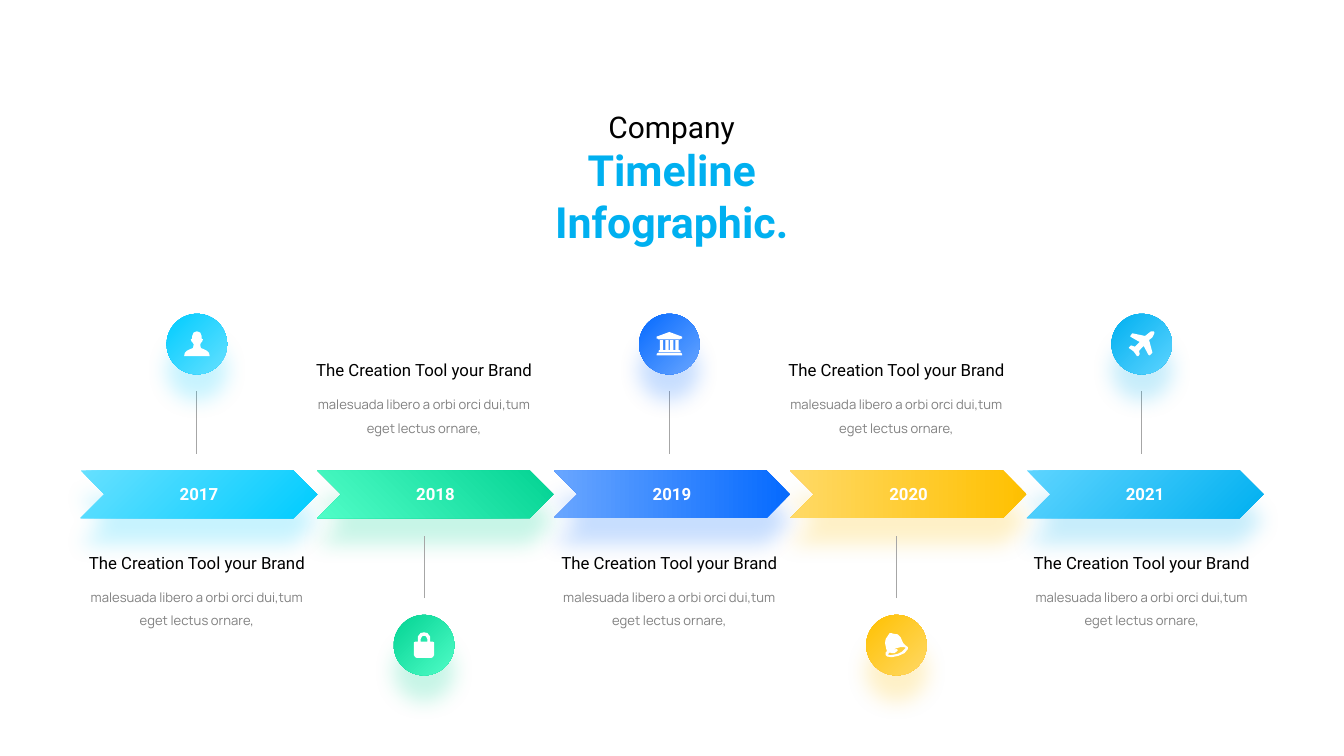
from dataclasses import dataclass

from lxml import etree
from pptx import Presentation
from pptx import util as u
from pptx.dml.color import RGBColor
from pptx.enum import shapes, text
from pptx.oxml.ns import qn


@dataclass(frozen=True)
class Theme:
    ink: str = "000000"
    accent: str = "00B0F0"
    muted: str = "808080"
    rule: str = "A6A6A6"
    white: str = "FFFFFF"
    display: str = "Roboto"
    copy: str = "Manrope"
    kicker_size: int = 32
    title_size: int = 46
    label_size: int = 18
    copy_size: int = 14


THEME = Theme()


def mirrored(half):
    return half + [(-x, y) for x, y in reversed(half)]


def column(left):
    return [(left, -6), (left + 5, -6), (left + 5, 9), (left, 9)]


PERSON = [mirrored([(0, -19), (5, -17), (7.5, -12), (7.5, -8), (8.5, -7), (8, -4),
                    (6.5, -3), (5, 0), (4.5, 2), (6, 5.5), (10.5, 8), (15, 10.5),
                    (18, 13), (18.5, 18)])]
LOCK = [mirrored([(0, -19), (5, -17.5), (8.5, -13), (9, -8), (9, -5), (13, -5),
                  (15, -4.5), (15.5, -3), (15.5, 15), (13.5, 18), (10.5, 19)]),
        mirrored([(0, -14), (3, -13), (4.5, -9), (4.5, -5)])]
BANK = [mirrored([(0, -18), (19, -11), (19, -8), (17, -8), (16, -7)]),
        *[column(left) for left in (-14, -6, 1, 9)],
        mirrored([(15, 9), (16.5, 10), (16.5, 12)]),
        mirrored([(17.5, 13), (19, 15), (19, 17)])]
BELL = [[(17, 3), (17, 6), (12, 12), (3, 16), (-7, 18), (-14, 17), (-16, 15),
         (-16, 11), (-14.5, 9), (-15, 6), (-17, -3), (-16.5, -9), (-12, -15),
         (-10, -18), (-8, -18.5), (-5, -17), (2, -16), (6, -12), (10, -3), (13, 0)],
        [(14, 4), (11, 3), (6, 3), (-1, 5), (-9, 9.5), (-13, 14), (-9, 15),
         (-3, 14.5), (2, 13), (8, 9.5), (12, 6)],
        [(1, 6), (1.5, 8), (0, 10.5), (-3, 12), (-7, 12), (-10, 11), (-6, 8), (-1, 6)]]
PLANE = [[(18, -19), (19, -17), (18, -14), (16, -10), (11, -6), (16, 13), (15, 14),
          (12, 17), (10, 16), (3, 3), (-4, 10), (-3, 15), (-5, 18), (-7, 18),
          (-12, 11), (-19, 6), (-19, 5), (-16, 2), (-10, 4), (-3, -3), (-17, -11),
          (-17, -12), (-14, -16), (5, -12), (10, -16), (14, -19)]]

TITLE = ("Company", "Timeline Infographic.")
HEADING = "The Creation Tool your Brand"
DETAIL = "malesuada libero a orbi orci dui,tum eget lectus ornare,"
MILESTONES = [
    ("2017", "00CCFF", "66E0FF", 45, True, PERSON),
    ("2018", "03D393", "50FDC7", 135, False, LOCK),
    ("2019", "056AFF", "69A6FF", 180, False, BANK),
    ("2020", "FFC000", "FFD966", 180, False, BELL),
    ("2021", "00B0F0", "5DD4FF", 45, True, PLANE),
]

WIDTH, HEIGHT = 20, 11.25
ARROW_LEFT, ARROW_TOP, ARROW_W, ARROW_H = 1.2, 7, 3.52, 0.71
FIRST_CENTRES, PAIR_PITCH = (2.93, 6.31), 7.03
DISC = 0.9
ABOVE = {"disc": 4.67, "rule": 5.82, "heading": 5.31}
BELOW = {"disc": 9.15, "rule": 7.97, "heading": 8.17}
RULE_LENGTH = 0.93


def box(*inches):
    return [u.Inches(value) for value in inches]


def style(paragraph, size, color, face, bold=False):
    paragraph.alignment = text.PP_ALIGN.CENTER
    for run in paragraph.runs:
        run.font.size, run.font.name, run.font.bold = u.Pt(size), face, bold
        run.font.color.rgb = RGBColor.from_string(color)


def glowing(slide, preset, place, start, end, angle, glow):
    part = slide.shapes.add_shape(preset, *box(*place))
    part.line.fill.background()
    part.fill.gradient()
    part.fill.gradient_angle = 360 - angle
    for stop, color in zip(part.fill.gradient_stops, (start, end)):
        stop.color.rgb = RGBColor.from_string(color)
    part.shadow.inherit = False
    effects = part._element.spPr.find(qn("a:effectLst"))
    shadow = etree.SubElement(effects, qn("a:outerShdw"), blurRad=str(u.Pt(23)),
                              dist=str(u.Pt(28)), dir="5400000", algn="t",
                              rotWithShape="0")
    tint = etree.SubElement(shadow, qn("a:srgbClr"), val=glow)
    etree.SubElement(tint, qn("a:alpha"), val="21000")
    return part


def add_icon(slide, outlines, x, y):
    placed = [[(x * 100 + dx, y * 100 + dy) for dx, dy in line] for line in outlines]
    builder = slide.shapes.build_freeform(*placed[0][0], scale=u.Inches(0.01))
    builder.add_line_segments(placed[0][1:], close=True)
    for line in placed[1:]:
        builder.move_to(*line[0])
        builder.add_line_segments(line[1:], close=True)
    icon = builder.convert_to_shape()
    icon.fill.solid()
    icon.fill.fore_color.rgb = RGBColor.from_string(THEME.white)
    icon.line.fill.background()
    icon.shadow.inherit = False


def add_caption(slide, words, centre, top, width, height, look, spacing=1):
    caption = slide.shapes.add_textbox(*box(centre - width / 2, top, width, height))
    caption.text_frame.word_wrap = True
    caption.text_frame.text = words
    caption.text_frame.paragraphs[0].line_spacing = spacing
    style(caption.text_frame.paragraphs[0], *look)


def add_rule(slide, x, top):
    rule = slide.shapes.add_connector(shapes.MSO_CONNECTOR.STRAIGHT,
                                      *box(x, top + RULE_LENGTH, x, top))
    rule.line.color.rgb = RGBColor.from_string(THEME.rule)
    rule.line.width = u.Pt(1)
    etree.SubElement(rule._element.spPr, qn("a:effectLst"))


def add_title(slide):
    title = slide.shapes.title
    title.left, title.top, title.width, title.height = box(7, 1.56, 5.99, 2.2)
    frame = title.text_frame
    frame.text = "\n".join(TITLE)
    frame.word_wrap = True
    frame.auto_size = text.MSO_AUTO_SIZE.NONE
    frame.vertical_anchor = text.MSO_ANCHOR.TOP
    style(frame.paragraphs[0], THEME.kicker_size, THEME.ink, THEME.display)
    style(frame.paragraphs[1], THEME.title_size, THEME.accent, THEME.display, True)


def add_milestone(slide, index, year, deep, light, angle, light_first, icon):
    left = ARROW_LEFT + index * ARROW_W
    ramp = (light, deep) if light_first else (deep, light)
    arrow = glowing(slide, shapes.MSO_SHAPE.CHEVRON,
                    (left, ARROW_TOP, ARROW_W, ARROW_H), *ramp, angle, deep)
    arrow.text_frame.text = year
    arrow.text_frame.vertical_anchor = text.MSO_ANCHOR.MIDDLE
    style(arrow.text_frame.paragraphs[0], THEME.label_size, THEME.white,
          THEME.display, True)

    pair, side = divmod(index, 2)
    centre = FIRST_CENTRES[side] + pair * PAIR_PITCH
    marker, words = (BELOW, ABOVE) if side else (ABOVE, BELOW)
    add_rule(slide, centre, marker["rule"])
    glowing(slide, shapes.MSO_SHAPE.OVAL,
            (centre - DISC / 2, marker["disc"], DISC, DISC), deep, light, 45, deep)
    add_icon(slide, icon, centre, marker["disc"] + DISC / 2)
    add_caption(slide, HEADING, centre, words["heading"], 3.64, 0.4,
                (THEME.label_size, THEME.ink, THEME.display))
    add_caption(slide, DETAIL, centre, words["heading"] + 0.43, 3.45, 0.81,
                (THEME.copy_size, THEME.muted, THEME.copy), 1.5)


def main():
    deck = Presentation()
    deck.slide_width, deck.slide_height = box(WIDTH, HEIGHT)
    slide = deck.slides.add_slide(deck.slide_layouts[5])
    add_title(slide)
    for index, milestone in enumerate(MILESTONES):
        add_milestone(slide, index, *milestone)
    deck.save("out.pptx")


if __name__ == "__main__":
    main()
